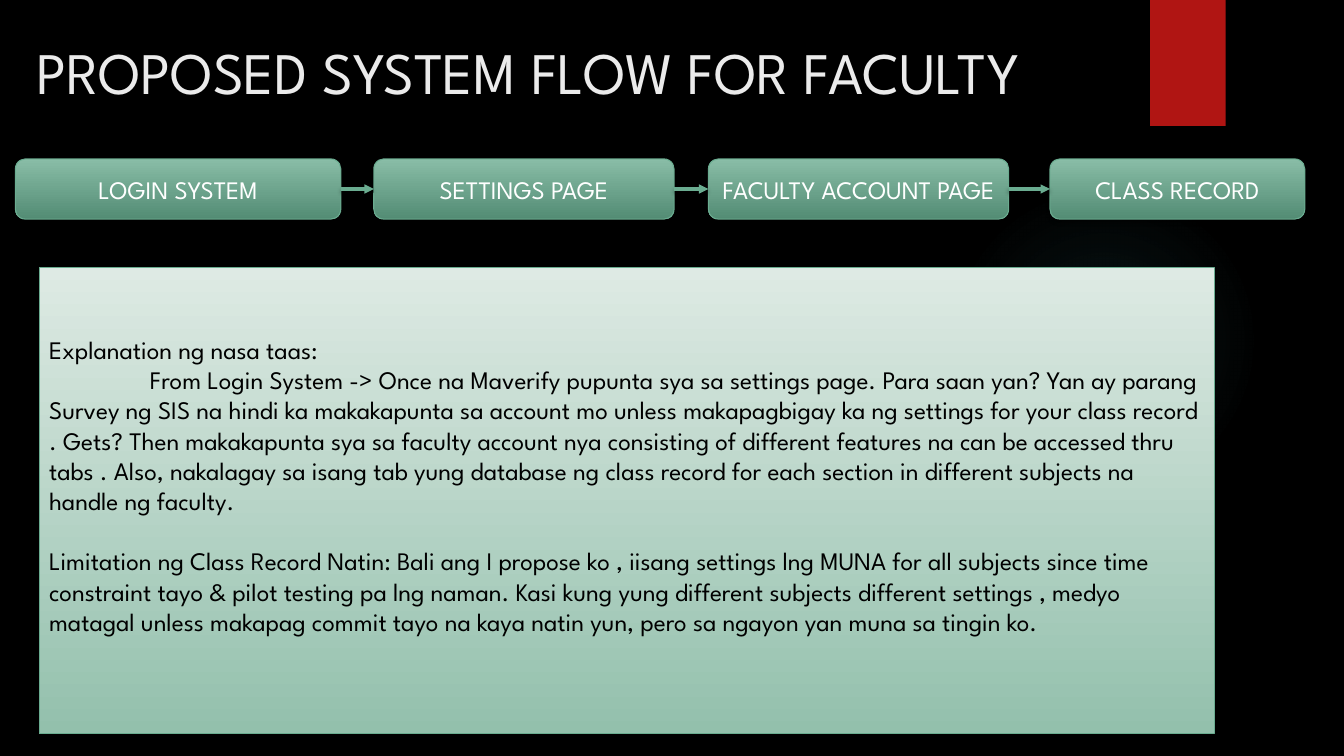
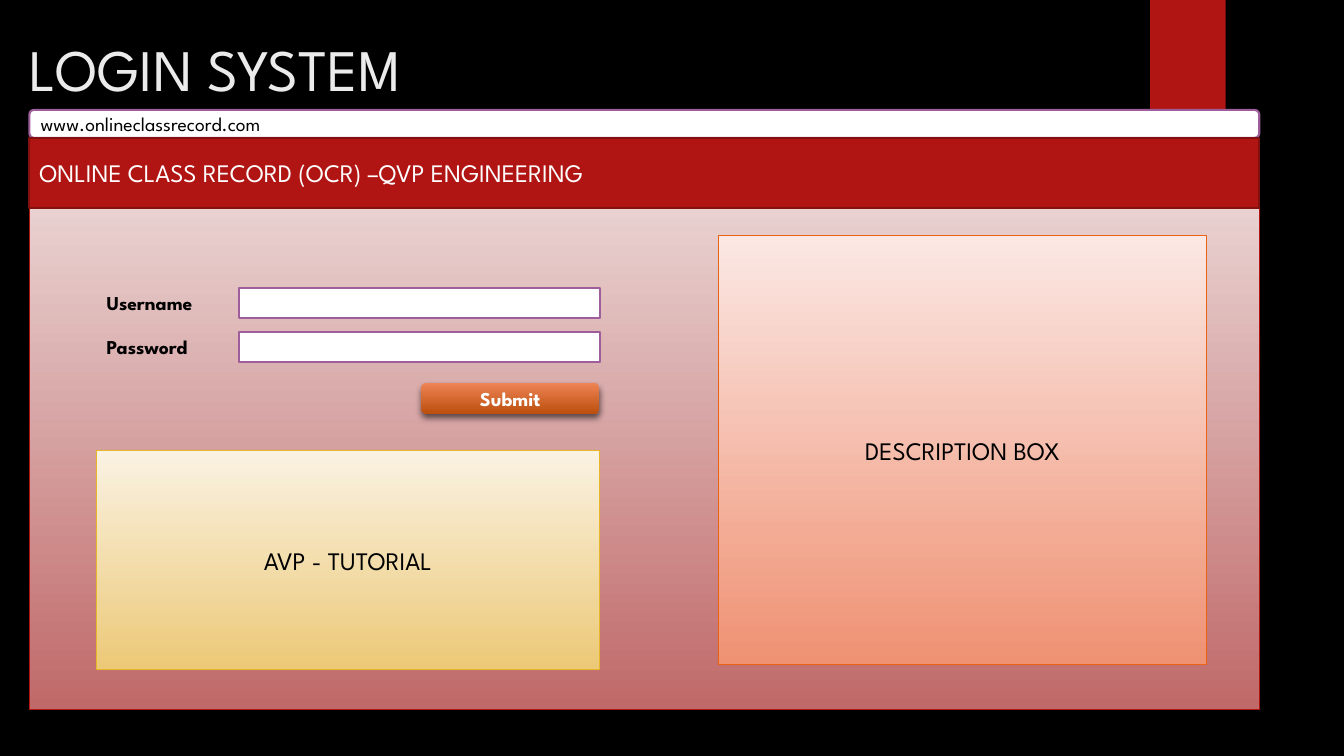
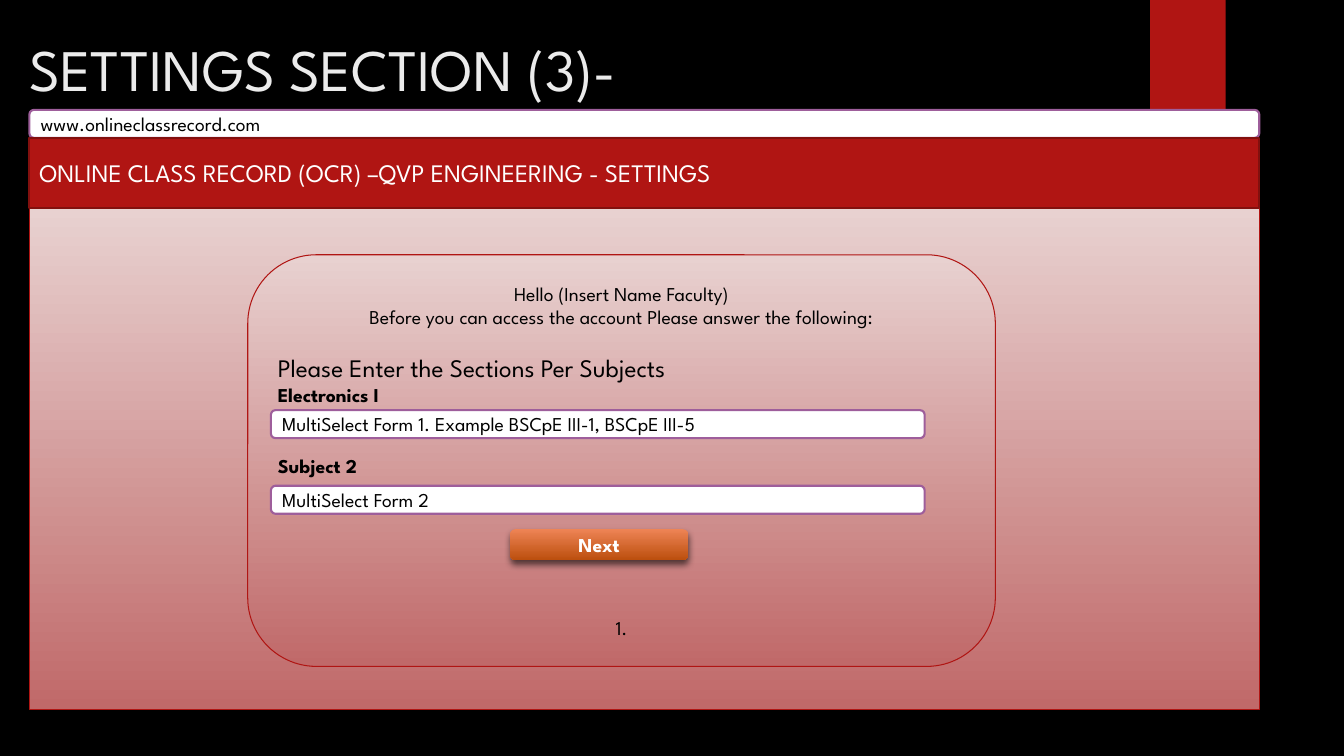
from pptx import Presentation
from pptx.dml.color import RGBColor
from pptx.enum.shapes import MSO_CONNECTOR, MSO_SHAPE
from pptx.enum.text import MSO_ANCHOR, PP_ALIGN
from pptx.oxml import parse_xml
from pptx.oxml.ns import nsdecls, qn
from pptx.util import Pt

FONT = "League Spartan"
BLACK = RGBColor(0x00, 0x00, 0x00)
WHITE = RGBColor(0xFF, 0xFF, 0xFF)
TITLE_GREY = RGBColor(0xEB, 0xEB, 0xEB)
RED = RGBColor(0xB0, 0x15, 0x13)
DARK_RED = RGBColor(0x82, 0x10, 0x0E)
PURPLE = RGBColor(0x9E, 0x5E, 0x9B)
GREEN = RGBColor(0x6A, 0xAC, 0x90)
ORANGE = RGBColor(0xEA, 0x63, 0x12)
GOLD = RGBColor(0xE6, 0xB7, 0x29)
TEAL = RGBColor(0x50, 0xB9, 0xC1)
STEP_FADE = (RGBColor(0x89, 0xBD, 0xA7), RGBColor(0x53, 0x8C, 0x74))
MINT_FADE = (RGBColor(0xDE, 0xEA, 0xE4), RGBColor(0x93, 0xC0, 0xAC))
ROSE_FADE = (RGBColor(0xE8, 0xD1, 0xD0), RGBColor(0xC0, 0x69, 0x69))
PEACH_FADE = (RGBColor(0xFB, 0xE8, 0xE4), RGBColor(0xEF, 0x91, 0x73))
GOLD_FADE = (RGBColor(0xFA, 0xF2, 0xE3), RGBColor(0xEC, 0xC9, 0x77))
BUTTON_FADE = (RGBColor(0xEE, 0x84, 0x55), RGBColor(0xBC, 0x4F, 0x0E))

BROWSER = (21, 78.5, 878.5, 428)
STEPS = [
    ("LOGIN SYSTEM", 0, 232.5),
    ("SETTINGS PAGE", 256, 214.5),
    ("FACULTY ACCOUNT PAGE", 495, 214.5),
    ("CLASS RECORD", 739, 182),
]
EXPLANATION = [
    "Explanation ng nasa taas:",
    "From Login System -> Once na Maverify pupunta sya sa settings page. Para saan yan? "
    "Yan ay parang Survey ng SIS na hindi ka makakapunta sa account mo unless makapagbigay "
    "ka ng settings for your class record . Gets? Then makakapunta sya sa faculty account "
    "nya consisting of different features na can be accessed thru tabs . Also, nakalagay sa "
    "isang tab yung database ng class record for each section in different subjects na "
    "handle ng faculty.",
    "Limitation ng Class Record Natin: Bali ang I propose ko , iisang settings lng MUNA for "
    "all subjects since time constraint tayo & pilot testing pa lng naman. Kasi kung yung "
    "different subjects different settings , medyo matagal unless makapag commit tayo na "
    "kaya natin yun, pero sa ngayon yan muna sa tingin ko.",
]
QUESTIONS = [
    ("Hello (Insert Name Faculty)", 14, False, PP_ALIGN.CENTER, 0),
    ("Before you can access the account Please answer the following:", 14, False,
     PP_ALIGN.CENTER, 0),
    ("Please Enter the Sections Per Subjects", 18, False, PP_ALIGN.LEFT, 17),
    ("Electronics I", 14, True, PP_ALIGN.LEFT, 0),
    ("Subject 2", 14, True, PP_ALIGN.LEFT, 34),
    ("1.", 14, False, PP_ALIGN.CENTER, 99),
]


def place(box):
    """Turn a box in points into lengths."""
    return [Pt(length) for length in box]


def style(paragraph, size, color, bold=False, align=PP_ALIGN.LEFT):
    """Format one paragraph and its runs."""
    paragraph.alignment = align
    for run in paragraph.runs:
        run.font.name = FONT
        run.font.size = Pt(size)
        run.font.bold = bold
        run.font.color.rgb = color


def cast_shadow(properties, alpha=45, blur=3, distance=2):
    """Give shape properties a soft shadow falling downwards."""
    for effects in properties.findall(qn("a:effectLst")):
        properties.remove(effects)
    properties.append(parse_xml(
        f'<a:effectLst {nsdecls("a")}><a:outerShdw blurRad="{Pt(blur)}" dist="{Pt(distance)}" '
        f'dir="5400000" rotWithShape="0"><a:srgbClr val="{BLACK}">'
        f'<a:alpha val="{alpha * 1000}"/></a:srgbClr></a:outerShdw></a:effectLst>'))


def add_block(slide, box, fill, outline=None, weight=0.75, kind=MSO_SHAPE.RECTANGLE):
    """Draw a shape with a plain colour or a downward fade."""
    block = slide.shapes.add_shape(kind, *place(box))
    block.shadow.inherit = False
    if isinstance(fill, RGBColor):
        block.fill.solid()
        block.fill.fore_color.rgb = fill
    else:
        block.fill.gradient()
        block.fill.gradient_angle = 270
        for stop, color in zip(block.fill.gradient_stops, fill):
            stop.color.rgb = color
    if outline is None:
        block.line.fill.background()
    else:
        block.line.color.rgb = outline
        block.line.width = Pt(weight)
    return block


def write(block, text, size, color, bold=False, align=PP_ALIGN.CENTER):
    """Set a single line of text in a shape."""
    block.text_frame.text = text
    style(block.text_frame.paragraphs[0], size, color, bold, align)


def add_glow(slide, box):
    """Draw the faint round light of the background."""
    glow = add_block(slide, box, TEAL, kind=MSO_SHAPE.OVAL)
    stops = "".join(
        f'<a:gs pos="{position * 1000}"><a:srgbClr val="{TEAL}">'
        f'<a:alpha val="{alpha * 1000}"/></a:srgbClr></a:gs>'
        for position, alpha in ((0, 7), (36, 6), (69, 0)))
    fade = parse_xml(
        f'<a:gradFill {nsdecls("a")}><a:gsLst>{stops}</a:gsLst><a:path path="circle">'
        '<a:fillToRect l="50000" t="50000" r="50000" b="50000"/></a:path></a:gradFill>')
    properties = glow._element.spPr
    properties.replace(properties.find(qn("a:solidFill")), fade)


def start_slide(deck, heading, left, top):
    """Add a slide with the shared light, red tab and title."""
    slide = deck.slides.add_slide(deck.slide_layouts[5])
    add_glow(slide, (677.5, 132, 222, 222))
    tab = add_block(slide, (821.5, 0, 54, 90), RED)
    cast_shadow(tab._element.spPr)
    title = slide.shapes.title
    title.left, title.top, title.width, title.height = place((left, top, 884, 61))
    title.text_frame.vertical_anchor = MSO_ANCHOR.MIDDLE
    write(title, heading, 42, TITLE_GREY, align=PP_ALIGN.LEFT)
    return slide


def add_arrow(slide, origin, target):
    """Join two steps with an arrow."""
    arrow = slide.shapes.add_connector(MSO_CONNECTOR.STRAIGHT, 0, 0, 0, 0)
    arrow.begin_connect(origin, 3)
    arrow.end_connect(target, 1)
    arrow.line.color.rgb = GREEN
    arrow.line.width = Pt(2.25)
    arrow.line._get_or_add_ln().append(
        parse_xml(f'<a:tailEnd {nsdecls("a")} type="triangle"/>'))
    cast_shadow(arrow._element.spPr)


def add_flow(slide, left, top, height):
    """Draw the row of steps and the arrows between them."""
    steps = []
    for name, offset, width in STEPS:
        step = add_block(slide, (left + offset, top, width, height), STEP_FADE, GREEN,
                         kind=MSO_SHAPE.ROUNDED_RECTANGLE)
        cast_shadow(step._element.spPr)
        write(step, name, 18, WHITE)
        steps.append(step)
    for origin, target in zip(steps, steps[1:]):
        add_arrow(slide, origin, target)


def add_explanation(slide, box):
    """Draw the box that explains the flow."""
    frame = add_block(slide, box, MINT_FADE, GREEN).text_frame
    frame.margin_bottom = Pt(25.2)
    frame.text = "\n".join(EXPLANATION)
    for paragraph in frame.paragraphs:
        style(paragraph, 18, BLACK)
    _, flow, limitation = frame.paragraphs
    flow._p.get_or_add_pPr().set("indent", str(Pt(72)))
    limitation.space_before = Pt(21.6)


def add_input(slide, box, text):
    """Draw a rounded white field holding text."""
    field = add_block(slide, box, WHITE, PURPLE, 1.5, MSO_SHAPE.ROUNDED_RECTANGLE)
    write(field, text, 14, BLACK, align=PP_ALIGN.LEFT)


def add_button(slide, left, top, text):
    """Draw an orange button."""
    button = add_block(slide, (left, top, 127, 22), BUTTON_FADE,
                       kind=MSO_SHAPE.ROUNDED_RECTANGLE)
    cast_shadow(button._element.spPr, 60, 5, 3)
    write(button, text, 14, WHITE, bold=True)


def add_browser(slide, box, banner_text):
    """Draw the address bar, banner and page of the site."""
    left, top, width, height = box
    add_input(slide, (left, top, width, 20), "www.onlineclassrecord.com")
    add_block(slide, (left, top + 70, width, height - 70), ROSE_FADE, RED)
    banner = add_block(slide, (left, top + 20, width, 50), RED, DARK_RED, 1.5)
    write(banner, banner_text, 18, WHITE, align=PP_ALIGN.LEFT)


def add_login_form(slide, left, top):
    """Draw the labelled fields and the submit button."""
    for row, name in enumerate(("Username", "Password")):
        row_top = top + row * 31
        add_block(slide, (left + 101.5, row_top + 1.5, 258, 21.5), WHITE, PURPLE, 1.5)
        label = slide.shapes.add_textbox(*place((left, row_top, 126, 24.5)))
        label.text_frame.word_wrap = True
        write(label, name, 14, BLACK, bold=True, align=PP_ALIGN.LEFT)
    add_button(slide, left + 232, top + 69, "Submit")


def add_settings_form(slide, box):
    """Draw the questions, their fields and the next button."""
    left, top, _, _ = box
    card = add_block(slide, box, ROSE_FADE, RED, kind=MSO_SHAPE.ROUNDED_RECTANGLE)
    frame = card.text_frame
    frame.text = "\n".join(question[0] for question in QUESTIONS)
    for paragraph, (_, size, bold, align, gap) in zip(frame.paragraphs, QUESTIONS):
        style(paragraph, size, BLACK, bold, align)
        paragraph.space_before = Pt(gap)
    add_input(slide, (left + 16.5, top + 111, 467, 20),
              "MultiSelect Form 1. Example BSCpE III-1, BSCpE III-5")
    add_input(slide, (left + 16.5, top + 165, 467, 20), "MultiSelect Form 2")
    add_button(slide, left + 187.5, top + 196, "Next")


def build_flow_slide(deck):
    """Build the slide of the faculty flow."""
    slide = start_slide(deck, "PROPOSED SYSTEM FLOW FOR FACULTY", 18.7, 20.2)
    add_flow(slide, 11, 113.5, 43)
    add_explanation(slide, (28, 191, 839.5, 333))


def build_login_slide(deck):
    """Build the slide of the login page."""
    slide = start_slide(deck, "LOGIN SYSTEM", 13.7, 18)
    add_browser(slide, BROWSER, "ONLINE CLASS RECORD (OCR) –QVP ENGINEERING")
    description = add_block(slide, (513.5, 168.5, 348, 306), PEACH_FADE, ORANGE)
    write(description, "DESCRIPTION BOX", 18, BLACK)
    add_login_form(slide, 69, 204.5)
    tutorial = add_block(slide, (69, 322, 359, 156), GOLD_FADE, GOLD)
    write(tutorial, "AVP - TUTORIAL", 18, BLACK)


def build_settings_slide(deck):
    """Build the slide of the settings page."""
    slide = start_slide(deck, "SETTINGS SECTION (3)-", 13.7, 18)
    add_browser(slide, BROWSER, "ONLINE CLASS RECORD (OCR) –QVP ENGINEERING - SETTINGS")
    add_settings_form(slide, (177, 182, 534, 294))


def main():
    """Build and save the presentation."""
    deck = Presentation()
    deck.slide_width, deck.slide_height = Pt(960), Pt(540)
    backdrop = deck.slide_master.background.fill
    backdrop.solid()
    backdrop.fore_color.rgb = BLACK
    build_flow_slide(deck)
    build_login_slide(deck)
    build_settings_slide(deck)
    deck.save("out.pptx")


if __name__ == "__main__":
    main()
